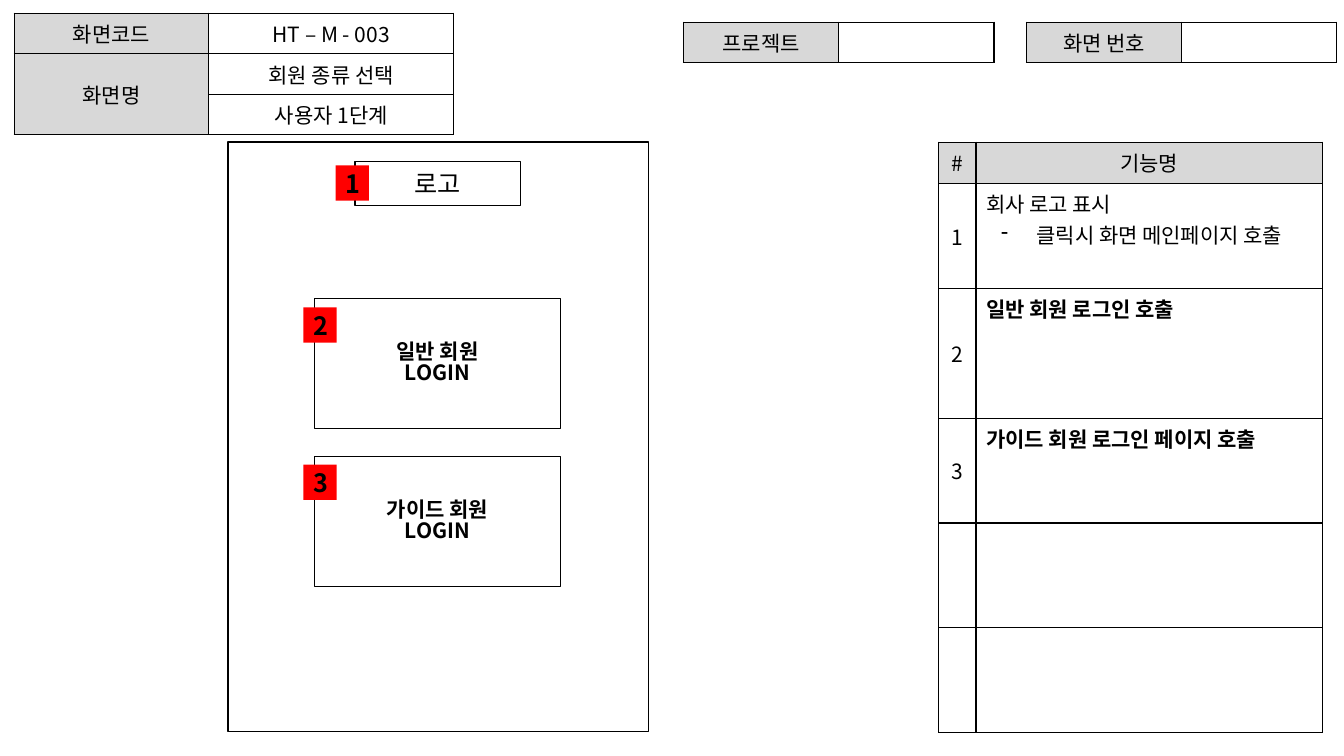
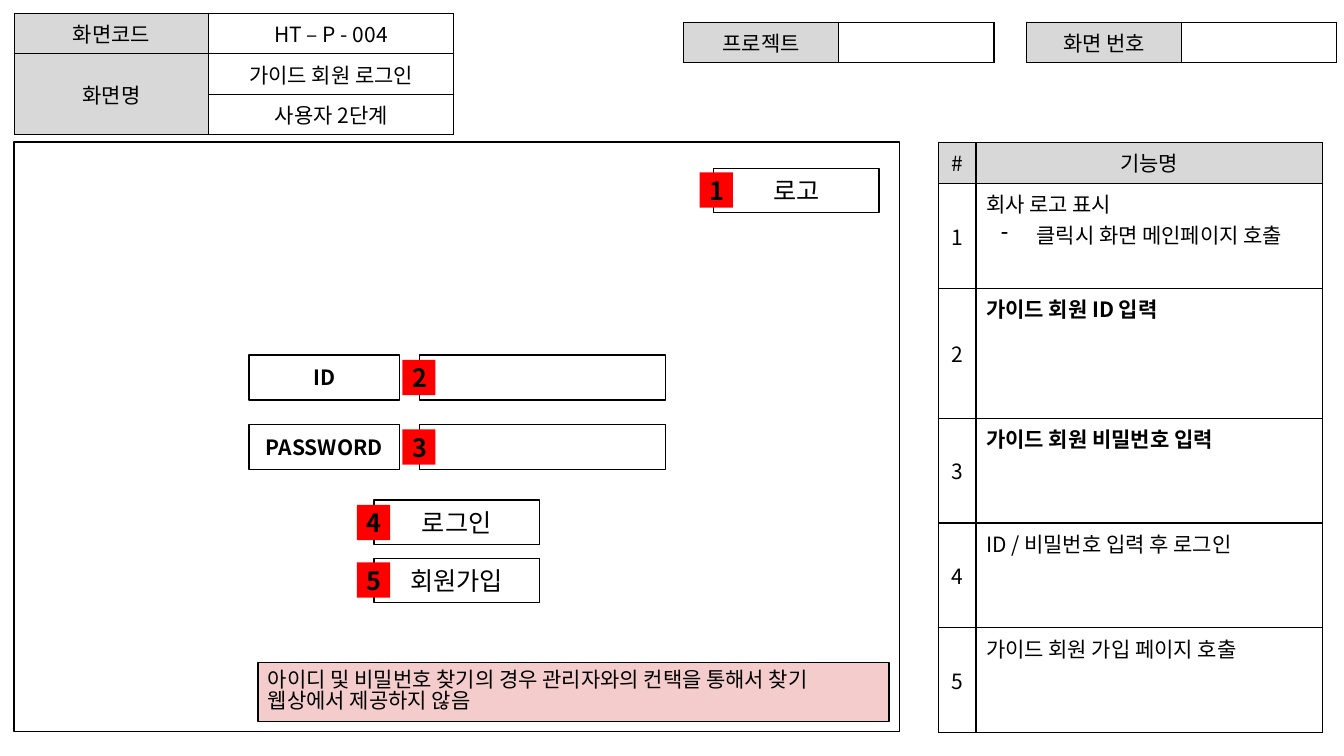
from dataclasses import dataclass

from lxml.etree import SubElement
from pptx import Presentation
from pptx.dml.color import RGBColor
from pptx.enum.shapes import MSO_SHAPE
from pptx.enum.text import MSO_ANCHOR, PP_ALIGN
from pptx.oxml.ns import qn
from pptx.slide import Slide
from pptx.table import Table, _Cell
from pptx.text.text import TextFrame
from pptx.util import Inches, Pt

FONT = "Noto Sans CJK KR"
COLORS = {
    "ink": "000000",
    "paper": "FFFFFF",
    "label": "D8D8D8",
    "badge": "FF0000",
    "notice": "F4CCCC",
}
PANEL_TOP = 1.41
PANEL_HEIGHT = 5.85
HEADER_ROW = 0.4
FEATURE_ROWS = [0.41, 1.04, 1.29, 1.04, 1.04, 1.04]


@dataclass(frozen=True)
class Box:
    left: float
    top: float
    width: float
    height: float
    text: str = ""
    size: int = 15
    bold: bool = False
    fill: str = "paper"
    outlined: bool = True
    align: PP_ALIGN = PP_ALIGN.CENTER


@dataclass(frozen=True)
class Feature:
    text: str
    bold: bool = False
    detail: str = ""


@dataclass(frozen=True)
class Screen:
    code: str
    name: str
    step: str
    panel_left: float
    panel_width: float
    boxes: list[Box]
    badge_corners: list[tuple[float, float]]
    features: list[Feature]


def color(name: str) -> RGBColor:
    return RGBColor.from_string(COLORS[name])


def write(frame: TextFrame, text: str, *, size: int = 15, bold: bool = False,
          align: PP_ALIGN = PP_ALIGN.CENTER, spacing: float | None = None) -> None:
    for index, line in enumerate(text.split("\n")):
        paragraph = frame.paragraphs[0] if index == 0 else frame.add_paragraph()
        paragraph.alignment = align
        if spacing:
            paragraph.line_spacing = spacing
        run = paragraph.add_run()
        run.text = line
        run.font.name = FONT
        run.font.size = Pt(size)
        run.font.bold = bold
        run.font.color.rgb = color("ink")
        SubElement(run.font._element, qn("a:ea"), typeface=FONT)


def draw_box(slide: Slide, box: Box) -> None:
    shape = slide.shapes.add_shape(
        MSO_SHAPE.RECTANGLE, Inches(box.left), Inches(box.top),
        Inches(box.width), Inches(box.height))
    shape.shadow.inherit = False
    shape.fill.solid()
    shape.fill.fore_color.rgb = color(box.fill)
    if box.outlined:
        shape.line.color.rgb = color("ink")
        shape.line.width = Pt(1)
    else:
        shape.line.fill.background()
    if box.text:
        shape.text_frame.word_wrap = True
        shape.text_frame.vertical_anchor = MSO_ANCHOR.MIDDLE
        write(shape.text_frame, box.text, size=box.size, bold=box.bold,
              align=box.align, spacing=0.84 if "\n" in box.text else None)


def border_cell(cell: _Cell) -> None:
    properties = cell._tc.get_or_add_tcPr()
    for position, side in enumerate(("lnL", "lnR", "lnT", "lnB")):
        edge = SubElement(properties, qn(f"a:{side}"), w=str(Pt(1)))
        paint = SubElement(edge, qn("a:solidFill"))
        SubElement(paint, qn("a:srgbClr"), val=COLORS["ink"])
        properties.insert(position, edge)


def fill_cell(cell: _Cell, text: str = "", *, fill: str = "paper",
              bold: bool = False, align: PP_ALIGN = PP_ALIGN.CENTER,
              anchor: MSO_ANCHOR = MSO_ANCHOR.MIDDLE) -> None:
    cell.fill.solid()
    cell.fill.fore_color.rgb = color(fill)
    cell.vertical_anchor = anchor
    border_cell(cell)
    write(cell.text_frame, text, bold=bold, align=align)


def add_grid(slide: Slide, left: float, top: float,
             widths: list[float], heights: list[float]) -> Table:
    grid = slide.shapes.add_table(
        len(heights), len(widths), Inches(left), Inches(top),
        Inches(sum(widths)), Inches(sum(heights))).table
    grid.first_row = False
    grid.horz_banding = False
    for column, width in zip(grid.columns, widths):
        column.width = Inches(width)
    for row, height in zip(grid.rows, heights):
        row.height = Inches(height)
    return grid


def draw_header(slide: Slide, screen: Screen) -> None:
    identity = add_grid(slide, 0.14, 0.13, [1.93, 2.43], [HEADER_ROW] * 3)
    labels = ["화면코드", "화면명", ""]
    values = [screen.code, screen.name, screen.step]
    for row, (label, value) in enumerate(zip(labels, values)):
        fill_cell(identity.cell(row, 0), label, fill="label")
        fill_cell(identity.cell(row, 1), value)
    identity.cell(1, 0).merge(identity.cell(2, 0))
    for left, label in ((10.18, "화면 번호"), (6.78, "프로젝트")):
        field = add_grid(slide, left, 0.22, [1.54, 1.54], [HEADER_ROW])
        fill_cell(field.cell(0, 0), label, fill="label")
        fill_cell(field.cell(0, 1))


def add_detail(cell: _Cell, detail: str) -> None:
    write(cell.text_frame, "\n" + detail, align=PP_ALIGN.LEFT)
    properties = cell.text_frame.paragraphs[-1]._p.get_or_add_pPr()
    properties.set("marL", str(Inches(0.5)))
    properties.set("indent", str(Inches(-0.35)))
    SubElement(properties, qn("a:buChar"), char="-")


def draw_features(slide: Slide, features: list[Feature]) -> None:
    grid = add_grid(slide, 9.31, PANEL_TOP, [0.37, 3.44], FEATURE_ROWS)
    for column, heading in enumerate(("#", "기능명")):
        fill_cell(grid.cell(0, column), heading, fill="label")
    for row in range(1, len(FEATURE_ROWS)):
        listed = row <= len(features)
        feature = features[row - 1] if listed else Feature("")
        description = grid.cell(row, 1)
        fill_cell(grid.cell(row, 0), str(row) if listed else "")
        fill_cell(description, feature.text, bold=feature.bold,
                  align=PP_ALIGN.LEFT, anchor=MSO_ANCHOR.TOP)
        if feature.detail:
            add_detail(description, feature.detail)


def draw_screen(slide: Slide, screen: Screen) -> None:
    draw_header(slide, screen)
    draw_box(slide, Box(screen.panel_left, PANEL_TOP, screen.panel_width, PANEL_HEIGHT))
    draw_features(slide, screen.features)
    for box in screen.boxes:
        draw_box(slide, box)
    for number, (left, top) in enumerate(screen.badge_corners, start=1):
        draw_box(slide, Box(left, top, 0.33, 0.35, str(number), 18, True,
                            "badge", outlined=False))


def button(left: float, top: float, text: str) -> Box:
    return Box(left, top, 1.64, 0.44, text, 18)


def login_card(top: float, member: str) -> Box:
    return Box(3.12, top, 2.44, 1.29, f"{member}\nLOGIN", bold=True)


def input_row(top: float, label: str) -> list[Box]:
    return [Box(2.47, top, 1.49, 0.45, label, bold=True),
            Box(4.16, top, 2.44, 0.45)]


LOGO_FEATURE = Feature("회사 로고 표시", detail="클릭시 화면 메인페이지 호출")
NOTICE = Box(
    2.56, 6.57, 6.26, 0.59,
    "아이디 및 비밀번호 찾기의 경우 관리자와의 컨택을 통해서 찾기\n웹상에서 제공하지 않음",
    fill="notice", align=PP_ALIGN.LEFT)

SCREENS = [
    Screen(
        "HT – M - 003", "회원 종류 선택", "사용자 1단계", 2.26, 4.17,
        boxes=[button(3.52, 1.6, "로고"),
               login_card(2.96, "일반 회원"),
               login_card(4.53, "가이드 회원")],
        badge_corners=[(3.33, 1.64), (3.01, 3.05), (3.01, 4.61)],
        features=[LOGO_FEATURE,
                  Feature("일반 회원 로그인 호출", bold=True),
                  Feature("가이드 회원 로그인 페이지 호출", bold=True)]),
    Screen(
        "HT – P - 004", "가이드 회원 로그인", "사용자 2단계", 0.14, 8.78,
        boxes=[button(7.08, 1.67, "로고"),
               *input_row(3.52, "ID"),
               *input_row(4.21, "PASSWORD"),
               button(3.71, 4.96, "로그인"),
               button(3.71, 5.54, "회원가입"),
               NOTICE],
        badge_corners=[(6.94, 1.71), (3.99, 3.57), (3.99, 4.26),
                       (3.54, 5.01), (3.54, 5.58)],
        features=[LOGO_FEATURE,
                  Feature("가이드 회원 ID 입력", bold=True),
                  Feature("가이드 회원 비밀번호 입력", bold=True),
                  Feature("ID / 비밀번호 입력 후 로그인"),
                  Feature("가이드 회원 가입 페이지 호출")]),
]


def main() -> None:
    deck = Presentation()
    deck.slide_width = Inches(13.33)
    deck.slide_height = Inches(7.5)
    blank_layout = deck.slide_layouts[6]
    for screen in SCREENS:
        draw_screen(deck.slides.add_slide(blank_layout), screen)
    deck.save("out.pptx")


if __name__ == "__main__":
    main()
